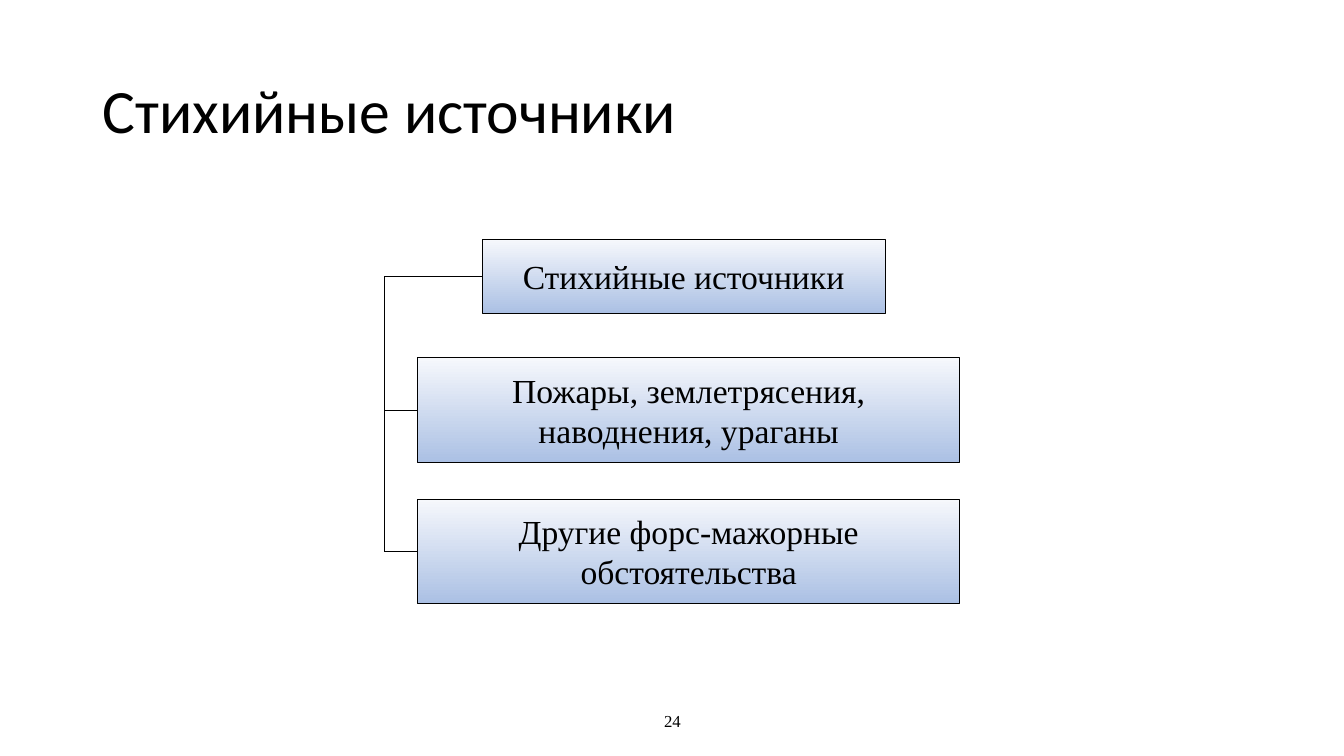
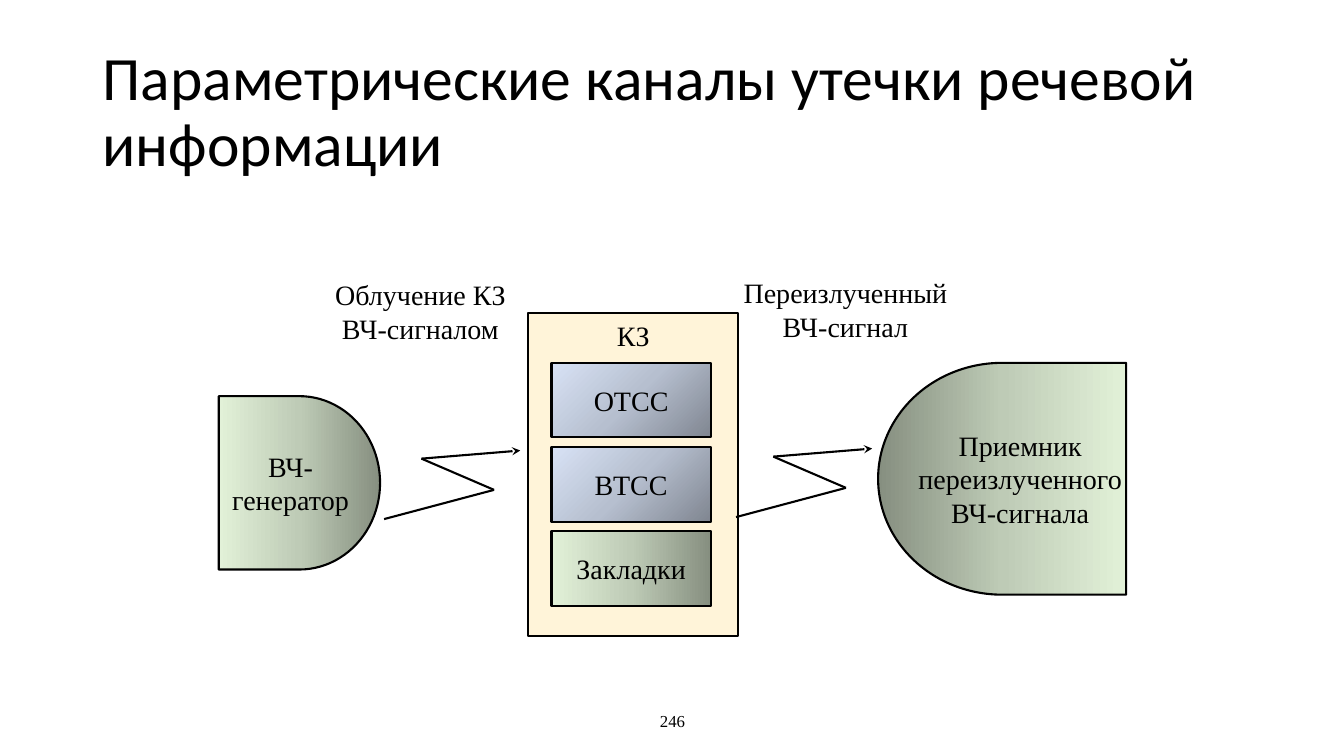
from pptx import Presentation
from pptx.dml.color import RGBColor
from pptx.enum.shapes import MSO_CONNECTOR as Conn, MSO_SHAPE as Shape
from pptx.enum.text import MSO_ANCHOR as Anchor, PP_ALIGN as Align
from pptx.oxml import parse_xml
from pptx.oxml.ns import nsdecls
from pptx.util import Inches, Pt

# Shared style
BLACK, CREAM = "000000", "FFF4D9"
HEAD, BODY = "Calibri", "Times New Roman"
GREY = ["808691", "B6BFCF", "D8E2F5"]
GREEN = ["868F80", "BECBB6", "E2F1D8"]
SKY = ["F6F8FC", "ABC0E4"]
INSET = (0.1, 0.05, 0.1, 0.05)
CORNER = ('<a:path path="circle"><a:fillToRect l="100000" t="100000"/>'
          '</a:path>')


def color(code):
    return RGBColor.from_string(code)


def angle(deg):
    return f'<a:lin ang="{deg * 60000}" scaled="0"/>'


def blend(shape, hues, way):
    """Fill a shape with evenly spaced gradient stops."""
    step = 100000 // (len(hues) - 1)
    stops = "".join(f'<a:gs pos="{i * step}"><a:srgbClr val="{hue}"/></a:gs>'
                    for i, hue in enumerate(hues))
    shape._element.spPr.append(parse_xml(
        f'<a:gradFill {nsdecls("a")} rotWithShape="1">'
        f'<a:gsLst>{stops}</a:gsLst>{way}</a:gradFill>'))


def write(shape, text, size, font=BODY, align=Align.CENTER,
          anchor=Anchor.MIDDLE, inset=INSET, space=None):
    """Put text in a shape, one paragraph per line."""
    frame = shape.text_frame
    frame.word_wrap = True
    frame.vertical_anchor = anchor
    (frame.margin_left, frame.margin_top,
     frame.margin_right, frame.margin_bottom) = map(Inches, inset)
    frame.text = text
    for para in frame.paragraphs:
        para.alignment = align
        para.line_spacing = space
        para.font.size = Pt(size)
        para.font.name = font
        para.font.color.rgb = color(BLACK)


def label(slide, area, text, size=20, **style):
    box = slide.shapes.add_textbox(*map(Inches, area))
    write(box, text, size, **style)


def block(slide, area, text, fill, way=None, kind=Shape.RECTANGLE,
          size=20, width=1.5, flip=False, **style):
    """Add an outlined shape with a plain or gradient fill."""
    shape = slide.shapes.add_shape(kind, *map(Inches, area))
    if way:
        blend(shape, fill, way)
    else:
        shape.fill.solid()
        shape.fill.fore_color.rgb = color(fill)
    shape.line.color.rgb = color(BLACK)
    shape.line.width = Pt(width)
    shape.shadow.inherit = False
    if flip:
        shape._element.spPr.xfrm.set("flipH", "1")
    write(shape, text, size, **style)
    return shape


def line(slide, start, end, width=1.5, arrow=False):
    link = slide.shapes.add_connector(
        Conn.STRAIGHT, *map(Inches, (*start, *end)))
    link.line.color.rgb = color(BLACK)
    link.line.width = Pt(width)
    if arrow:
        link.line._get_or_add_ln().append(
            parse_xml(f'<a:tailEnd {nsdecls("a")} type="stealth"/>'))
    link._element.spPr.append(parse_xml(f'<a:effectLst {nsdecls("a")}/>'))
    return link


def page(deck, title, number):
    """Start a slide with its title and page number."""
    slide = deck.slides.add_slide(deck.slide_layouts[6])
    label(slide, (0.92, 0.4, 11.5, 1.45), title, 44, font=HEAD,
          align=Align.LEFT, space=0.9)
    label(slide, (4.42, 6.95, 4.5, 0.4), number, 12)
    return slide


def tree(slide):
    """Draw the root box and its branches off one trunk."""
    trunk = 3.81
    nodes = [
        ((4.78, 2.37, 4, 0.74), "Стихийные источники"),
        ((4.14, 3.55, 5.38, 1.04),
         "Пожары, землетрясения,\nнаводнения, ураганы"),
        ((4.14, 4.95, 5.38, 1.04),
         "Другие форс-мажорные\nобстоятельства"),
    ]
    mids = []
    for area, text in nodes:
        box = block(slide, area, text, SKY, angle(90), size=24, width=0.5)
        left, top, _, high = area
        mid = top + high / 2
        link = line(slide, (left, mid), (trunk, mid), 0.5)
        link.begin_connect(box, 1)
        mids.append(mid)
    line(slide, (trunk, mids[0]), (trunk, mids[-1]), 0.5)


def signal(slide, left, top):
    """Draw a zigzag arrow for a radio signal."""
    steps = [(0, 0.68), (1.09, 0.39), (0.37, 0.08), (1.35, 0)]
    points = [(left + x, top + y) for x, y in steps]
    for start, end in zip(points, points[1:]):
        line(slide, start, end, arrow=end == points[-1])


def scheme(slide):
    """Draw the generator, the zone with its devices, and the receiver."""
    block(slide, (2.17, 3.93, 1.6, 1.72), "ВЧ-\nгенератор", GREEN,
          angle(180), Shape.FLOWCHART_DELAY, inset=(0.1, 0.05, 0.04, 0.05))
    block(slide, (5.24, 3.11, 2.08, 3.2), "КЗ", CREAM, anchor=Anchor.TOP)

    # Devices inside the zone
    parts = [("ОТСС", GREY, CORNER), ("ВТСС", GREY, CORNER),
             ("Закладки", GREEN, angle(180))]
    for row, (text, fill, way) in enumerate(parts):
        block(slide, (5.47, 3.6 + row * 0.835, 1.58, 0.74), text, fill, way,
              inset=(0, 0.05, 0, 0.05))

    block(slide, (8.71, 3.6, 2.46, 2.3),
          "Приемник\nпереизлученного ВЧ-сигнала", GREEN, angle(180),
          Shape.FLOWCHART_DELAY, flip=True, inset=(0, 0.05, 0, 0.05))

    # Signals and their labels
    signal(slide, 3.81, 4.47)
    signal(slide, 7.3, 4.45)
    label(slide, (3.2, 2.49, 1.94, 1.2), "Облучение КЗ ВЧ-сигналом")
    label(slide, (7.24, 2.47, 2.29, 1.2), "Переизлученный ВЧ-сигнал")


def main():
    deck = Presentation()
    deck.slide_width, deck.slide_height = Inches(13.33), Inches(7.5)
    tree(page(deck, "Стихийные источники", "24"))
    scheme(page(deck, "Параметрические каналы утечки речевой информации",
                "246"))
    deck.save("out.pptx")


if __name__ == "__main__":
    main()
